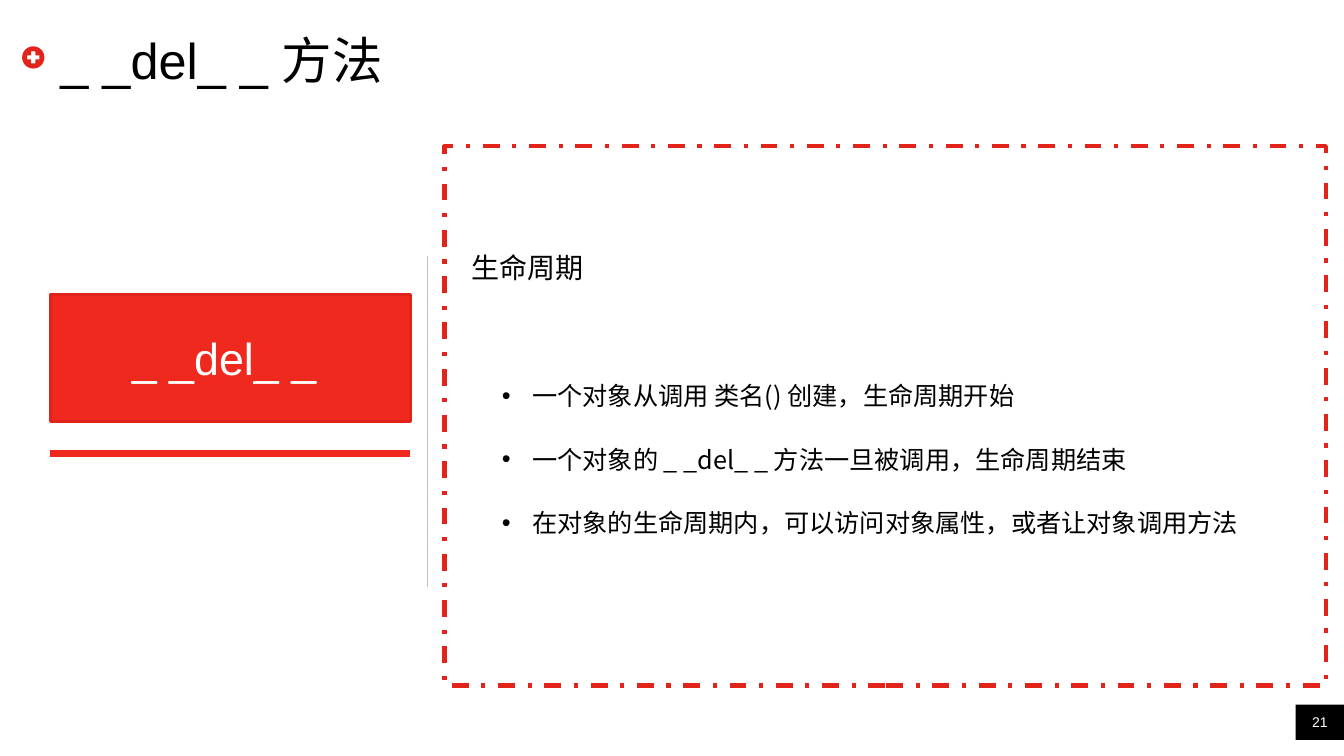
"""Build the slide on the __del__ method and the object life cycle."""
from dataclasses import dataclass
from math import cos, pi, sin

from lxml.etree import SubElement
from pptx import Presentation
from pptx.dml.color import RGBColor
from pptx.enum.dml import MSO_LINE
from pptx.enum.shapes import MSO_CONNECTOR, MSO_SHAPE
from pptx.enum.text import MSO_ANCHOR, PP_ALIGN
from pptx.oxml.ns import qn
from pptx.util import Inches, Pt


@dataclass(frozen=True)
class Theme:
    red: str = "E2231A"
    bright_red: str = "F0291F"
    grey: str = "C4BEB6"
    black: str = "000000"
    white: str = "FFFFFF"
    latin: str = "Arial"
    chinese: str = "Noto Sans CJK SC"
    title: int = 36
    keyword: int = 32
    heading: int = 20
    body: int = 18
    page: int = 10


theme = Theme()


def style_text(paragraph, size, color, face):
    for run in paragraph.runs:
        run.font.size = Pt(size)
        run.font.name = face
        run.font.color.rgb = RGBColor.from_string(color)
        SubElement(run.font._element, qn("a:ea"), typeface=theme.chinese)


def add_panel(left, top, width, height, fill=None, line=None, weight=0):
    panel = slide.shapes.add_shape(
        MSO_SHAPE.RECTANGLE, Inches(left), Inches(top), Inches(width), Inches(height))
    panel.shadow.inherit = False
    if fill:
        panel.fill.solid()
        panel.fill.fore_color.rgb = RGBColor.from_string(fill)
    else:
        panel.fill.background()
    if line:
        panel.line.color.rgb = RGBColor.from_string(line)
        panel.line.width = Pt(weight)
    else:
        panel.line.fill.background()
    return panel


prs = Presentation()
prs.slide_width, prs.slide_height = Inches(13.33), Inches(7.5)
slide = prs.slides.add_slide(prs.slide_layouts[6])

page_number = add_panel(12.85, 6.99, 0.48, 0.35, fill=theme.black)
page_frame = page_number.text_frame
page_frame.margin_left = page_frame.margin_right = 0
page_frame.margin_top = page_frame.margin_bottom = 0
page_frame.vertical_anchor = MSO_ANCHOR.MIDDLE
page_frame.text = "21"
page_frame.paragraphs[0].alignment = PP_ALIGN.CENTER
style_text(page_frame.paragraphs[0], theme.page, theme.white, theme.latin)

center_x, center_y, radius = 0.33, 0.57, 0.11
arm, half = 0.06, 0.02
disc = [(radius * cos(step * pi / 24), radius * sin(step * pi / 24)) for step in range(48)]
plus = [(half, -arm), (half, -half), (arm, -half), (arm, half), (half, half), (half, arm),
        (-half, arm), (-half, half), (-arm, half), (-arm, -half), (-half, -half), (-half, -arm)]
rim, hole = [[(Inches(center_x + x), Inches(center_y + y)) for x, y in outline]
             for outline in (disc, plus)]
builder = slide.shapes.build_freeform(*rim[0])
builder.add_line_segments(rim[1:], close=True)
builder.move_to(*hole[0])
builder.add_line_segments(hole[1:], close=True)
plus_badge = builder.convert_to_shape()
plus_badge.shadow.inherit = False
plus_badge.fill.solid()
plus_badge.fill.fore_color.rgb = RGBColor.from_string(theme.red)
plus_badge.line.fill.background()

keyword = add_panel(0.5, 2.92, 3.57, 1.26, theme.bright_red, theme.red, 2)
keyword_frame = keyword.text_frame
keyword_frame.margin_right = Inches(0.22)
keyword_frame.vertical_anchor = MSO_ANCHOR.MIDDLE
keyword_frame.text = "_ _del_ _"
keyword_frame.paragraphs[0].alignment = PP_ALIGN.CENTER
style_text(keyword_frame.paragraphs[0], theme.keyword, theme.white, theme.latin)

life_cycle = slide.shapes.add_textbox(Inches(4.58), Inches(2.07), Inches(8.01), Inches(3.35))
life_frame = life_cycle.text_frame
life_frame.word_wrap = True
heading = life_frame.paragraphs[0]
heading.text = "生命周期"
heading.line_spacing = 2.1
style_text(heading, theme.heading, theme.black, theme.chinese)

stages = [
    "一个对象从调用 类名() 创建，生命周期开始",
    "一个对象的 _ _del_ _ 方法一旦被调用，生命周期结束",
    "在对象的生命周期内，可以访问对象属性，或者让对象调用方法",
]
for index, stage in enumerate(stages):
    bullet = life_frame.add_paragraph()
    bullet.text = stage
    bullet.line_spacing = 2.1
    bullet.space_before = Pt(0 if index else 45)
    properties = bullet._p.get_or_add_pPr()
    properties.set("marL", str(Inches(0.6)))
    properties.set("indent", str(-Inches(0.3)))
    SubElement(properties, qn("a:buFont"), typeface=theme.latin)
    SubElement(properties, qn("a:buChar"), char="•")
    style_text(bullet, theme.body, theme.black, theme.chinese)

title = slide.shapes.add_textbox(Inches(0.6), Inches(0.3), Inches(12.11), Inches(0.57))
title_frame = title.text_frame
title_frame.word_wrap = True
title_frame.margin_left = title_frame.margin_right = 0
title_frame.margin_top = title_frame.margin_bottom = 0
title_frame.vertical_anchor = MSO_ANCHOR.MIDDLE
title_frame.text = "_ _del_ _ 方法"
style_text(title_frame.paragraphs[0], theme.title, theme.black, theme.latin)

rules = [
    (0.5, 4.5, 4.07, 4.5, theme.bright_red, 4.5),
    (4.24, 2.54, 4.24, 5.82, theme.grey, 0.75),
]
for x1, y1, x2, y2, color, weight in rules:
    rule = slide.shapes.add_connector(
        MSO_CONNECTOR.STRAIGHT, Inches(x1), Inches(y1), Inches(x2), Inches(y2))
    rule.line.color.rgb = RGBColor.from_string(color)
    rule.line.width = Pt(weight)
    SubElement(rule._element.spPr, qn("a:effectLst"))

dashed_frame = add_panel(4.41, 1.45, 8.74, 5.35, line=theme.red, weight=3)
dashed_frame.line.dash_style = MSO_LINE.DASH_DOT

prs.save("out.pptx")
